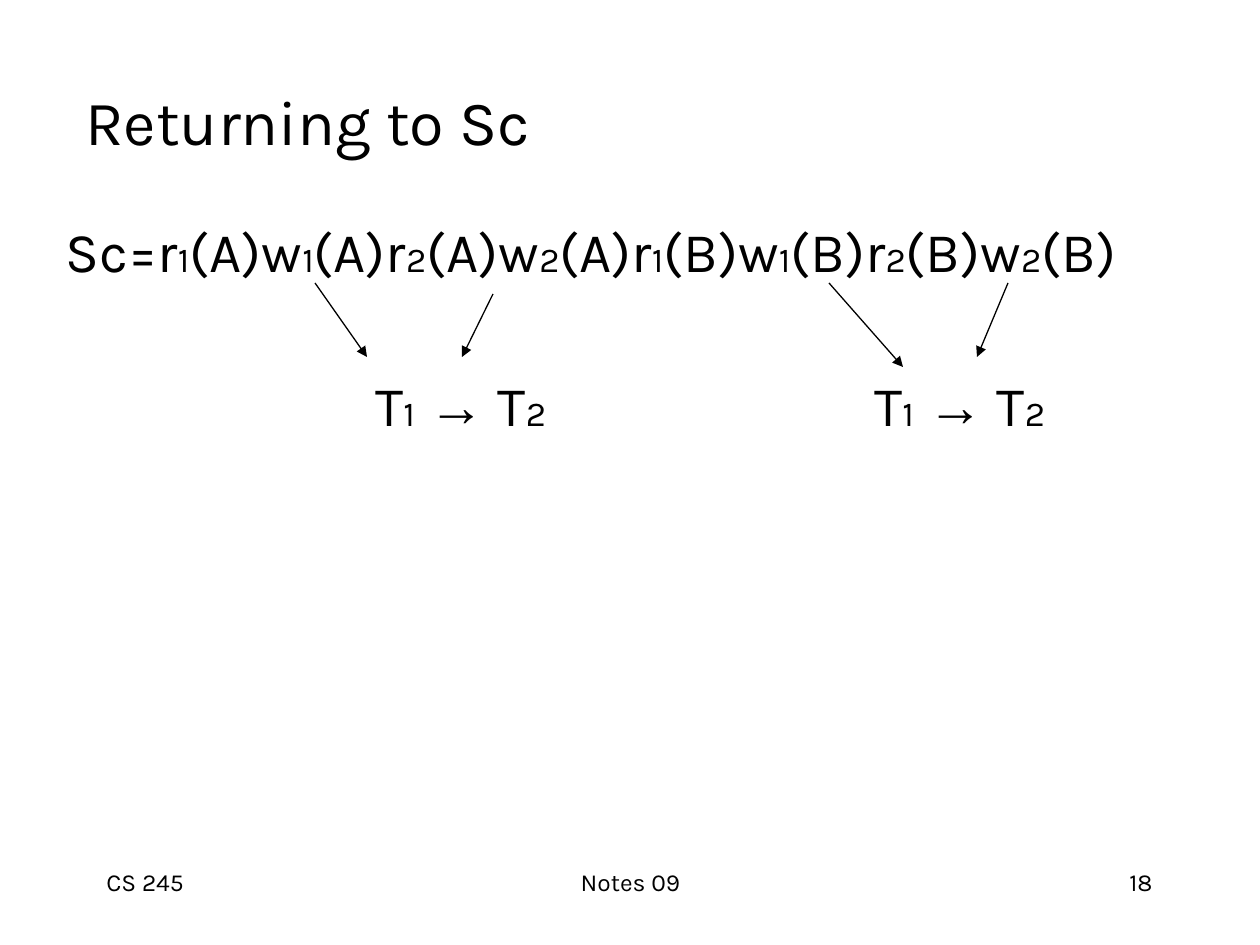
"""Build the slide that derives T1 → T2 twice from schedule Sc."""
from dataclasses import dataclass

from lxml import etree
from pptx import Presentation
from pptx.dml.color import RGBColor
from pptx.enum.shapes import MSO_CONNECTOR
from pptx.enum.text import MSO_ANCHOR, PP_ALIGN
from pptx.oxml.ns import qn
from pptx.util import Pt

LEFT, CENTER, RIGHT = PP_ALIGN.LEFT, PP_ALIGN.CENTER, PP_ALIGN.RIGHT
TOP, MIDDLE = MSO_ANCHOR.TOP, MSO_ANCHOR.MIDDLE
STRAIGHT = MSO_CONNECTOR.STRAIGHT
PX = 914400 / 126


@dataclass(frozen=True)
class Theme:
    ink: RGBColor = RGBColor(0, 0, 0)
    font: str = "Karla"
    symbol_font: str = "Arial"
    title: int = 36
    body: int = 32
    subscript: int = 20
    footer: int = 14
    space_before: int = 8
    line: float = 0.75


THEME = Theme()

TITLE = ("Returning to Sc", (73, 42, 1071, 157))
SCHEDULE = [
    ("Sc=r", "1"), ("(A)w", "1"), ("(A)r", "2"), ("(A)w", "2"),
    ("(A)r", "1"), ("(B)w", "1"), ("(B)r", "2"), ("(B)w", "2"), ("(B)", ""),
]
SCHEDULE_BOX = (53, 210, 1166, 80)
PRECEDENCE = [("T", "1"), (" ", ""), ("→", ""), (" T", "2")]
PRECEDENCE_LEFTS = (363, 862)
PRECEDENCE_TOP, PRECEDENCE_WIDTH, PRECEDENCE_HEIGHT = 364, 220, 80
FOOTERS = [
    ("CS 245", 94, 262, LEFT),
    ("Notes 09", 431, 399, CENTER),
    ("18", 903, 262, RIGHT),
]
FOOTER_TOP, FOOTER_HEIGHT = 861, 63
ARROWS = [
    ((315, 283), (367, 357)),
    ((493, 294), (462, 357)),
    ((829, 283), (903, 367)),
    ((1008, 283), (977, 357)),
]


def px(length):
    return round(length * PX)


def add_text(slide, box, runs, align=LEFT, anchor=TOP, space_before=0):
    frame = slide.shapes.add_textbox(*map(px, box)).text_frame
    frame.word_wrap = True
    frame.vertical_anchor = anchor
    paragraph = frame.paragraphs[0]
    paragraph.alignment = align
    paragraph.space_before = Pt(space_before)
    for text, size in runs:
        run = paragraph.add_run()
        run.text = text
        run.font.size = Pt(size)
        run.font.name = THEME.symbol_font if text == "→" else THEME.font
        run.font.color.rgb = THEME.ink


def add_formula(slide, box, terms):
    runs = []
    for base, subscript in terms:
        runs.append((base, THEME.body))
        if subscript:
            runs.append((subscript, THEME.subscript))
    add_text(slide, box, runs, space_before=THEME.space_before)


def add_arrow(slide, start, end):
    connector = slide.shapes.add_connector(STRAIGHT, *map(px, start + end))
    connector.line.color.rgb = THEME.ink
    connector.line.width = Pt(THEME.line)
    etree.SubElement(connector.line._get_or_add_ln(), qn("a:tailEnd"), type="triangle")
    etree.SubElement(connector._element.spPr, qn("a:effectLst"))


def main():
    presentation = Presentation()
    presentation.slide_width, presentation.slide_height = px(1260), px(945)
    slide = presentation.slides.add_slide(presentation.slide_layouts[6])

    title, title_box = TITLE
    add_text(slide, title_box, [(title, THEME.title)], anchor=MIDDLE)
    add_formula(slide, SCHEDULE_BOX, SCHEDULE)
    for left in PRECEDENCE_LEFTS:
        box = (left, PRECEDENCE_TOP, PRECEDENCE_WIDTH, PRECEDENCE_HEIGHT)
        add_formula(slide, box, PRECEDENCE)
    for start, end in ARROWS:
        add_arrow(slide, start, end)
    for text, left, width, align in FOOTERS:
        box = (left, FOOTER_TOP, width, FOOTER_HEIGHT)
        add_text(slide, box, [(text, THEME.footer)], align)

    presentation.save("out.pptx")


if __name__ == "__main__":
    main()
